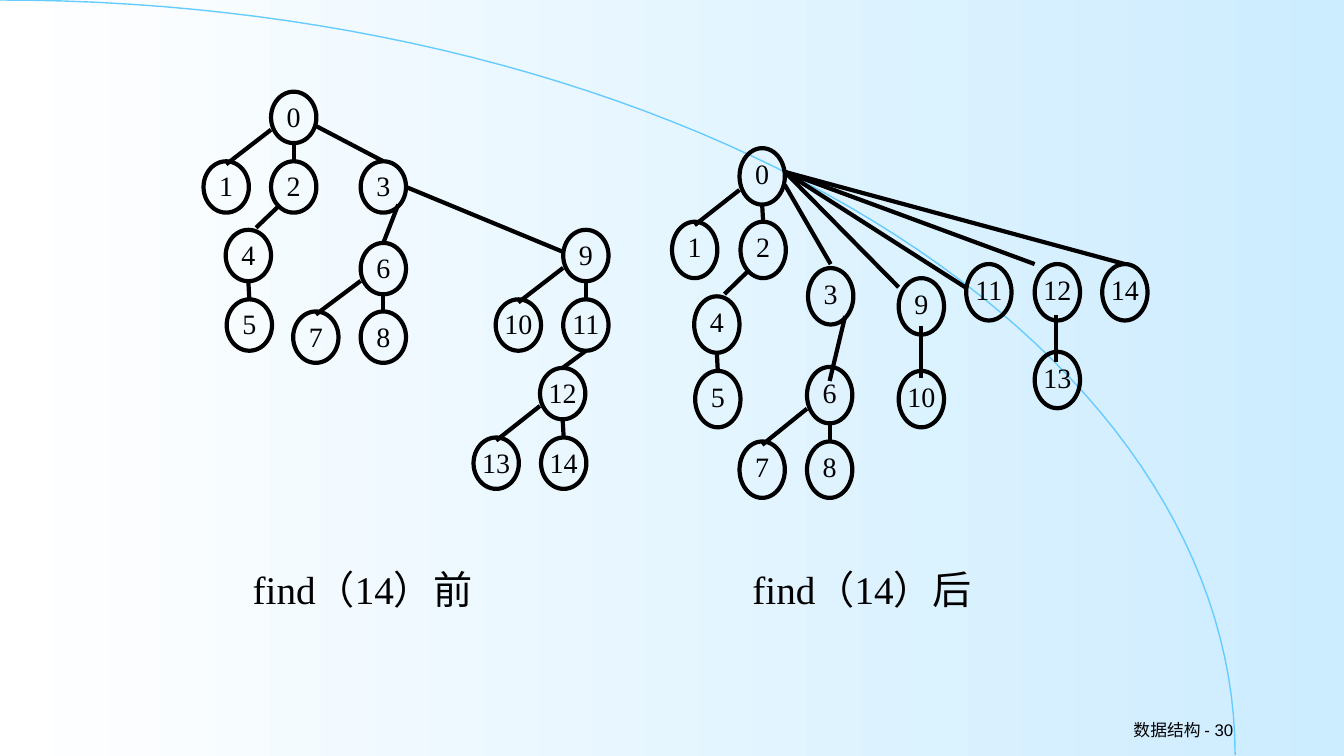
from math import cos, pi, sin

from lxml import etree
from pptx import Presentation
from pptx.dml.color import RGBColor
from pptx.enum.shapes import MSO_CONNECTOR, MSO_SHAPE
from pptx.enum.text import MSO_ANCHOR, PP_ALIGN
from pptx.oxml.ns import qn
from pptx.util import Pt

OVAL = MSO_SHAPE.OVAL
STRAIGHT = MSO_CONNECTOR.STRAIGHT
TOP, MIDDLE = MSO_ANCHOR.TOP, MSO_ANCHOR.MIDDLE
LEFT, CENTER, RIGHT = PP_ALIGN.LEFT, PP_ALIGN.CENTER, PP_ALIGN.RIGHT

PX = 9144
PAGE_WIDTH, PAGE_HEIGHT = 1334, 750
COLORS = {"ink": "000000", "arc": "66CCFF", "start": "FFFFFF", "end": "CCECFF"}
SERIF, SANS = "Times New Roman", "Arial"
CURVE_STEPS = 60

DOWN = ((0.5, 1), (0.5, 0))
SHOULDER = ((0, 0.74), (0.5, 0.06))
SLANT = ((0.16, 0.88), (0.67, -0.04))
FAN_START = (1, 0.42)

BEFORE = {
    "box": (202, 91, 45, 51),
    "nodes": {
        0: (67, 0), 1: (0, 69), 2: (67, 69), 3: (156, 69), 4: (22, 137),
        5: (23, 206), 6: (156, 150), 7: (89, 218), 8: (156, 218),
        9: (357, 137), 10: (290, 206), 11: (357, 206), 12: (334, 274),
        13: (268, 343), 14: (335, 343),
    },
    "edges": [
        (0, 1, SHOULDER), (0, 2, DOWN), (0, 3, ((1, 0.67), (0.5, 0))),
        (2, 4, SLANT), (4, 5, DOWN), (3, 6, ((0.83, 0.84), (0.5, 0))),
        (6, 7, SHOULDER), (6, 8, DOWN), (3, 9, ((1, 0.5), (0, 0.43))),
        (9, 10, SHOULDER), (9, 11, DOWN), (11, 12, DOWN),
        (12, 13, SHOULDER), (12, 14, DOWN),
    ],
    "caption": ("find（14）前", (241, 556, 285, 57)),
}
AFTER = {
    "box": (667, 147, 45, 56),
    "nodes": {
        0: (67, 0), 1: (0, 73), 2: (68, 73), 3: (135, 119), 4: (22, 147),
        5: (23, 221), 6: (134, 217), 7: (67, 291), 8: (134, 291),
        9: (225, 129), 10: (225, 221), 11: (292, 115), 12: (360, 115),
        13: (360, 202), 14: (427, 115),
    },
    "edges": [
        (0, 1, SHOULDER), (0, 2, DOWN), (0, 3, ((1, 0.65), (0.5, -0.07))),
        (2, 4, SLANT), (4, 5, DOWN), (3, 6, ((0.82, 0.85), (0.5, 0.25))),
        (6, 7, SHOULDER), (6, 8, DOWN), (9, 10, ((0.5, 0.85), (0.5, 0.13))),
        (12, 13, ((0.47, 0.91), (0.47, 0.18))),
        (0, 9, (FAN_START, (0, 0.16))), (0, 11, (FAN_START, (0, 0.42))),
        (0, 12, (FAN_START, (0, 0))), (0, 14, (FAN_START, (0.5, 0))),
    ],
    "caption": ("find（14）后", (737, 556, 285, 57)),
}


def emu(*lengths):
    return [round(length * PX) for length in lengths]


def rgb(name):
    return RGBColor.from_string(COLORS[name])


def set_line(line, color, points):
    line.color.rgb = rgb(color)
    line.width = Pt(points)


def set_text(shape, text, font, size, align, anchor, insets=(10, 5)):
    across, along = emu(*insets)
    frame_format = {
        "word_wrap": True, "vertical_anchor": anchor,
        "margin_left": across, "margin_right": across,
        "margin_top": along, "margin_bottom": along,
    }
    for name, value in frame_format.items():
        setattr(shape.text_frame, name, value)
    para = shape.text_frame.paragraphs[0]
    para.alignment = align
    span = para.add_run()
    span.text = text
    for name, value in {"name": font, "size": Pt(size)}.items():
        setattr(span.font, name, value)
    span.font.color.rgb = rgb("ink")


def add_text(page, box, *text_format):
    set_text(page.shapes.add_textbox(*emu(*box)), *text_format)


def add_backdrop(page, box):
    left, top, width, height = box
    fill = page.background.fill
    fill.gradient()
    fill.gradient_angle = 0
    for stop, name in zip(fill.gradient_stops, ("start", "end")):
        stop.color.rgb = rgb(name)
    angles = [pi / 2 * step / CURVE_STEPS for step in range(CURVE_STEPS + 1)]
    points = [
        emu(left + width * sin(angle), top + height * (1 - cos(angle)))
        for angle in angles
    ]
    builder = page.shapes.build_freeform(*points[0])
    builder.add_line_segments(points[1:], close=False)
    arc = builder.convert_to_shape()
    arc.shadow.inherit = False
    arc.fill.background()
    set_line(arc.line, "arc", 1)


def add_node(group, label, box):
    node = group.shapes.add_shape(OVAL, *emu(*box))
    node.shadow.inherit = False
    node.fill.background()
    set_line(node.line, "ink", 3)
    set_text(node, str(label), SERIF, 20, CENTER, TOP, (0, 0))


def add_edge(group, start, end):
    edge = group.shapes.add_connector(STRAIGHT, *emu(*start, *end))
    set_line(edge.line, "ink", 3)
    etree.SubElement(edge._element.spPr, qn("a:effectLst"))


def add_tree(page, tree):
    left, top, width, height = tree["box"]
    group = page.shapes.add_group_shape()

    def anchor_point(label, anchor):
        x, y = tree["nodes"][label]
        return left + x + width * anchor[0], top + y + height * anchor[1]

    for label, (x, y) in tree["nodes"].items():
        add_node(group, label, (left + x, top + y, width, height))
    for parent, child, (start, end) in tree["edges"]:
        add_edge(group, anchor_point(parent, start), anchor_point(child, end))
    caption, caption_box = tree["caption"]
    add_text(page, caption_box, caption, SERIF, 28, LEFT, MIDDLE)


def main():
    deck = Presentation()
    deck.slide_width, deck.slide_height = emu(PAGE_WIDTH, PAGE_HEIGHT)
    page = deck.slides.add_slide(deck.slide_layouts[6])
    add_backdrop(page, (0, 0, 1226, 749))
    add_text(page, (956, 708, 278, 33), "数据结构 - 30", SANS, 12, RIGHT, MIDDLE)
    for tree in (BEFORE, AFTER):
        add_tree(page, tree)
    deck.save("out.pptx")


if __name__ == "__main__":
    main()
